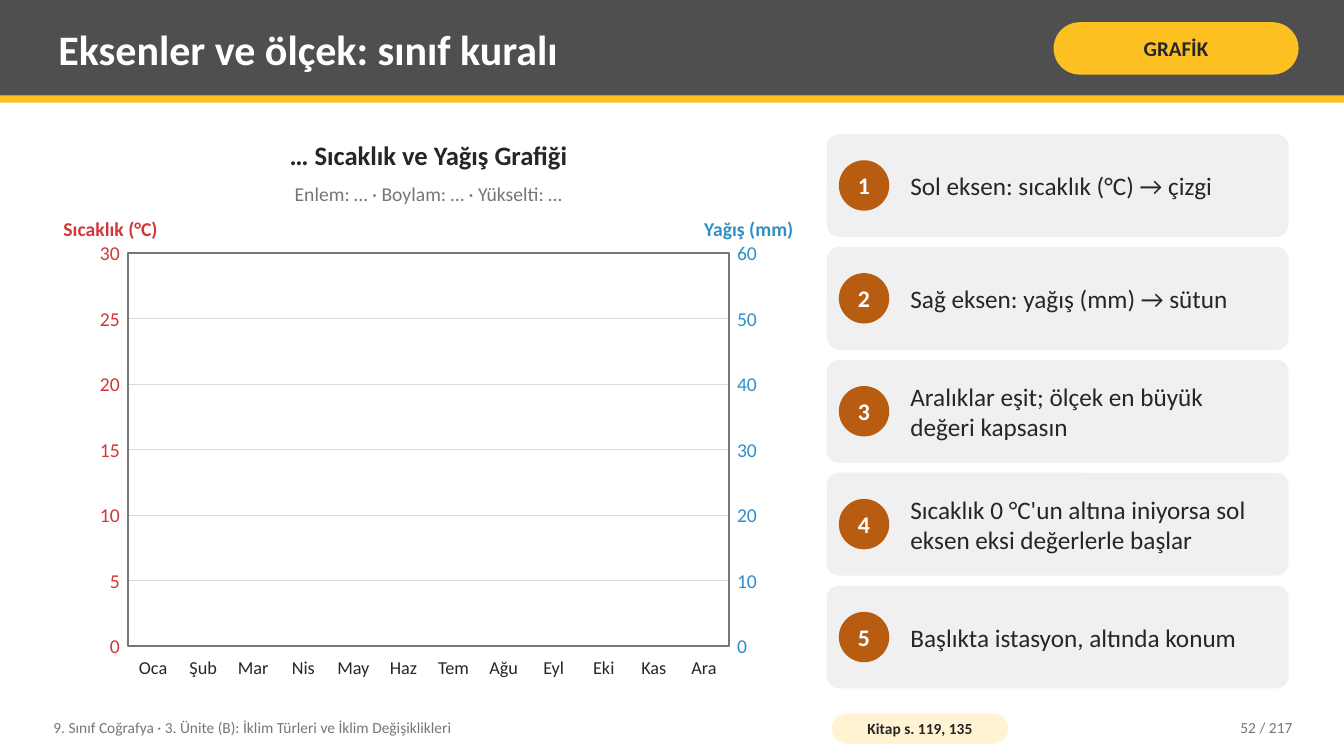
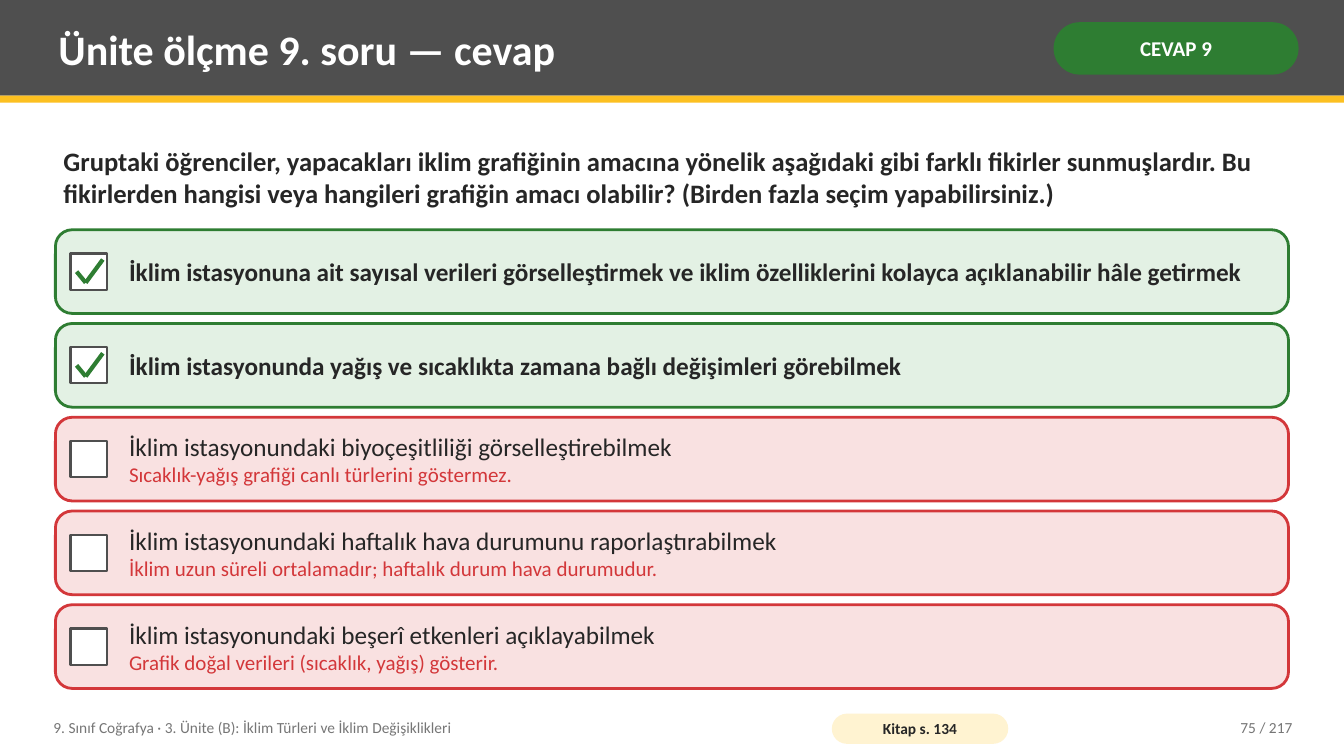
import pptx
import pptx.dml.color
import pptx.enum.shapes
import pptx.enum.text
import pptx.util
from lxml import etree

Inches = pptx.util.Inches
Pt = pptx.util.Pt
SHAPE = pptx.enum.shapes.MSO_SHAPE
ALIGN = pptx.enum.text.PP_ALIGN
ANCHOR = pptx.enum.text.MSO_ANCHOR

# Shared look
WHITE, INK, GREY, DARK = "FFFFFF", "262626", "767676", "4F4F4F"
YELLOW, CREAM, PALE, BROWN, GRID = "FCC021", "FFF3D1", "F0F0F0", "B85C12", "D9D9D9"
RED, PINK, GREEN, MINT, BLUE = "D3373A", "F9E1E1", "2E7D32", "E3F1E4", "2F8FC9"
FONT = "Calibri"
WIDTH, HEIGHT = 13.33, 7.5
LEFT, RIGHT, ROWS_BOTTOM, ROW_GAP = 0.55, 12.78, 6.83, 0.1
INSET = (0.08, 0.04)

# Content
UNIT = "9. Sınıf Coğrafya · 3. Ünite (B): İklim Türleri ve İklim Değişiklikleri"
TOTAL = 217
AXES = {
    "title": "Eksenler ve ölçek: sınıf kuralı",
    "tag": ("GRAFİK", YELLOW, INK),
    "book": "Kitap s. 119, 135",
    "page": 52,
    "heading": "… Sıcaklık ve Yağış Grafiği",
    "place": "Enlem: … · Boylam: … · Yükselti: …",
    "left_axis": ("Sıcaklık (°C)", range(0, 31, 5)),
    "right_axis": ("Yağış (mm)", range(0, 61, 10)),
    "months": ["Oca", "Şub", "Mar", "Nis", "May", "Haz",
               "Tem", "Ağu", "Eyl", "Eki", "Kas", "Ara"],
    "rules": [
        "Sol eksen: sıcaklık (°C) → çizgi",
        "Sağ eksen: yağış (mm) → sütun",
        "Aralıklar eşit; ölçek en büyük değeri kapsasın",
        "Sıcaklık 0 °C'un altına iniyorsa sol eksen eksi değerlerle başlar",
        "Başlıkta istasyon, altında konum",
    ],
}
ANSWER = {
    "title": "Ünite ölçme 9. soru — cevap",
    "tag": ("CEVAP 9", GREEN, WHITE),
    "book": "Kitap s. 134",
    "page": 75,
    "question": "Gruptaki öğrenciler, yapacakları iklim grafiğinin amacına yönelik "
                "aşağıdaki gibi farklı fikirler sunmuşlardır. Bu fikirlerden hangisi veya "
                "hangileri grafiğin amacı olabilir? (Birden fazla seçim yapabilirsiniz.)",
    # (choice, why it is wrong; None marks a right choice)
    "choices": [
        ("İklim istasyonuna ait sayısal verileri görselleştirmek ve iklim "
         "özelliklerini kolayca açıklanabilir hâle getirmek", None),
        ("İklim istasyonunda yağış ve sıcaklıkta zamana bağlı değişimleri görebilmek", None),
        ("İklim istasyonundaki biyoçeşitliliği görselleştirebilmek",
         "Sıcaklık-yağış grafiği canlı türlerini göstermez."),
        ("İklim istasyonundaki haftalık hava durumunu raporlaştırabilmek",
         "İklim uzun süreli ortalamadır; haftalık durum hava durumudur."),
        ("İklim istasyonundaki beşerî etkenleri açıklayabilmek",
         "Grafik doğal verileri (sıcaklık, yağış) gösterir."),
    ],
}


def rgb(value):
    return pptx.dml.color.RGBColor.from_string(value)


def write(shape, lines, inset=INSET, align=ALIGN.LEFT, wrap=True):
    """Fill a shape with lines of (text, size, colour, bold)."""
    frame = shape.text_frame
    side, edge = (Inches(value) for value in inset)
    layout = {"word_wrap": wrap, "vertical_anchor": ANCHOR.MIDDLE,
              "auto_size": pptx.enum.text.MSO_AUTO_SIZE.NONE,
              "margin_left": side, "margin_right": side,
              "margin_top": edge, "margin_bottom": edge}
    for name, value in layout.items():
        setattr(frame, name, value)
    for index, (text, size, colour, bold) in enumerate(lines):
        paragraph = frame.add_paragraph() if index else frame.paragraphs[0]
        paragraph.alignment = align
        run = paragraph.add_run()
        run.text = text
        for name, value in {"name": FONT, "size": Pt(size), "bold": bold}.items():
            setattr(run.font, name, value)
        run.font.color.rgb = rgb(colour)


def add_text(slide, box, *lines, **layout):
    write(slide.shapes.add_textbox(*map(Inches, box)), lines, **layout)


def add_panel(slide, kind, box, fill=None, line=None, corner=None):
    panel = slide.shapes.add_shape(kind, *map(Inches, box))
    panel.shadow.inherit = False
    if corner is not None:
        panel.adjustments[0] = corner
    if fill:
        panel.fill.solid()
        panel.fill.fore_color.rgb = rgb(fill)
    else:
        panel.fill.background()
    if line:
        colour, weight = line
        panel.line.color.rgb = rgb(colour)
        panel.line.width = Pt(weight)
    else:
        panel.line.fill.background()
    return panel


def add_line(slide, start, end, colour, weight):
    line = slide.shapes.add_connector(
        pptx.enum.shapes.MSO_CONNECTOR.STRAIGHT, *map(Inches, (*start, *end)))
    line.line.color.rgb = rgb(colour)
    line.line.width = Pt(weight)
    properties = line.element.spPr
    etree.SubElement(properties, pptx.oxml.ns.qn("a:effectLst"))


def row_places(top, count):
    """Tops and common height of equal rows that end at ROWS_BOTTOM."""
    pitch = (ROWS_BOTTOM - top + ROW_GAP) / count
    return [top + index * pitch for index in range(count)], pitch - ROW_GAP


def start_slide(deck, content):
    """Add a slide with its bands, title, tag and footer."""
    slide = deck.slides.add_slide(deck.slide_layouts[5])
    add_panel(slide, SHAPE.RECTANGLE, (0, 0, WIDTH, 0.95), DARK)
    add_panel(slide, SHAPE.RECTANGLE, (0, 0.95, WIDTH, 0.07), YELLOW)

    title = slide.shapes.title
    title.element.getparent().append(title.element)  # in front of the band
    place = {"left": 0.5, "top": 0.07, "width": 9.75, "height": 0.82}
    for name, value in place.items():
        setattr(title, name, Inches(value))
    write(title, [(content["title"], 30, WHITE, True)])

    label, fill, colour = content["tag"]
    tag = add_panel(slide, SHAPE.ROUNDED_RECTANGLE, (10.45, 0.22, 2.43, 0.52), fill, corner=0.5)
    write(tag, [(label, 15, colour, True)], (0.05, 0.02), ALIGN.CENTER)

    add_text(slide, (0.45, 7.04, 7.6, 0.36), (UNIT, 11, GREY, False))
    book = add_panel(slide, SHAPE.ROUNDED_RECTANGLE, (8.25, 7.08, 1.75, 0.3), CREAM, corner=0.5)
    write(book, [(content["book"], 11, INK, True)], (0.04, 0), ALIGN.CENTER)
    add_text(slide, (11.3, 7.04, 1.6, 0.36),
             (f"{content['page']} / {TOTAL}", 11, GREY, False), align=ALIGN.RIGHT)
    return slide


def add_empty_graph(slide, content):
    graph_width, label_width = 7.4, 0.66
    plot_left, plot_top, plot_width, plot_height = 1.27, 2.51, 5.96, 3.9
    plot_right, plot_bottom = plot_left + plot_width, plot_top + plot_height
    graph_right = LEFT + graph_width

    add_text(slide, (LEFT, 1.33, graph_width, 0.42),
             (content["heading"], 19, INK, True), align=ALIGN.CENTER)
    add_text(slide, (LEFT, 1.75, graph_width, 0.34),
             (content["place"], 14, GREY, False), align=ALIGN.CENTER)

    ticks = content["left_axis"][1]
    step = plot_height / (len(ticks) - 1)
    levels = [plot_bottom - index * step for index in range(len(ticks))]
    for level in levels:
        add_line(slide, (plot_left, level), (plot_right, level), GRID, 0.75)

    sides = [
        (content["left_axis"], RED, LEFT, LEFT, ALIGN.LEFT, ALIGN.RIGHT),
        (content["right_axis"], BLUE, graph_right - 1.6, graph_right - label_width,
         ALIGN.RIGHT, ALIGN.LEFT),
    ]
    for (name, values), colour, name_left, value_left, name_align, value_align in sides:
        add_text(slide, (name_left, 2.09, 1.6, 0.36), (name, 14, colour, True),
                 align=name_align)
        for value, level in zip(values, levels):
            add_text(slide, (value_left, level - 0.16, label_width, 0.32),
                     (str(value), 14, colour, False), inset=(0.02, 0), align=value_align)

    add_panel(slide, SHAPE.RECTANGLE, (plot_left, plot_top, plot_width, plot_height),
              line=(GREY, 1))
    month_width = plot_width / len(content["months"])
    for index, month in enumerate(content["months"]):
        add_text(slide, (plot_left + index * month_width, 6.45, month_width, 0.34),
                 (month, 13, INK, False), inset=(0, 0), align=ALIGN.CENTER)


def add_rules(slide, rules):
    left, badge_size = 8.2, 0.5
    tops, height = row_places(1.33, len(rules))
    for number, (rule, top) in enumerate(zip(rules, tops), 1):
        add_panel(slide, SHAPE.ROUNDED_RECTANGLE, (left, top, RIGHT - left, height),
                  PALE, corner=0.12)
        badge = add_panel(slide, SHAPE.OVAL,
                          (left + 0.12, top + (height - badge_size) / 2, badge_size, badge_size),
                          BROWN)
        write(badge, [(str(number), 17, WHITE, True)], (0, 0), ALIGN.CENTER, wrap=False)
        add_text(slide, (left + 0.75, top + 0.03, 3.73, height - 0.06),
                 (rule, 18, INK, False))


def add_choices(slide, choices):
    box_left, box_size = 0.7, 0.36
    tick = [(0.06, 0.18), (0.15, 0.29), (0.32, 0.06)]
    tops, height = row_places(2.28, len(choices))
    for (choice, reason), top in zip(choices, tops):
        right = reason is None
        fill, border = (MINT, GREEN) if right else (PINK, RED)
        add_panel(slide, SHAPE.ROUNDED_RECTANGLE, (LEFT, top, RIGHT - LEFT, height),
                  fill, (border, 2), 0.2)
        box_top = top + (height - box_size) / 2
        add_panel(slide, SHAPE.RECTANGLE, (box_left, box_top, box_size, box_size),
                  WHITE, (DARK, 1.5))
        lines = [(choice, 18, INK, right)]
        if right:
            points = [(box_left + x, box_top + y) for x, y in tick]
            for start, end in zip(points, points[1:]):
                add_line(slide, start, end, GREEN, 3)
        else:
            lines.append((reason, 15, RED, False))
        add_text(slide, (1.2, top, 11.43, height), *lines)


def main():
    deck = pptx.Presentation()
    deck.slide_width, deck.slide_height = Inches(WIDTH), Inches(HEIGHT)

    axes = start_slide(deck, AXES)
    add_empty_graph(axes, AXES)
    add_rules(axes, AXES["rules"])

    answer = start_slide(deck, ANSWER)
    add_text(answer, (LEFT, 1.28, RIGHT - LEFT, 0.95), (ANSWER["question"], 19, INK, True))
    add_choices(answer, ANSWER["choices"])

    deck.save("out.pptx")


if __name__ == "__main__":
    main()
